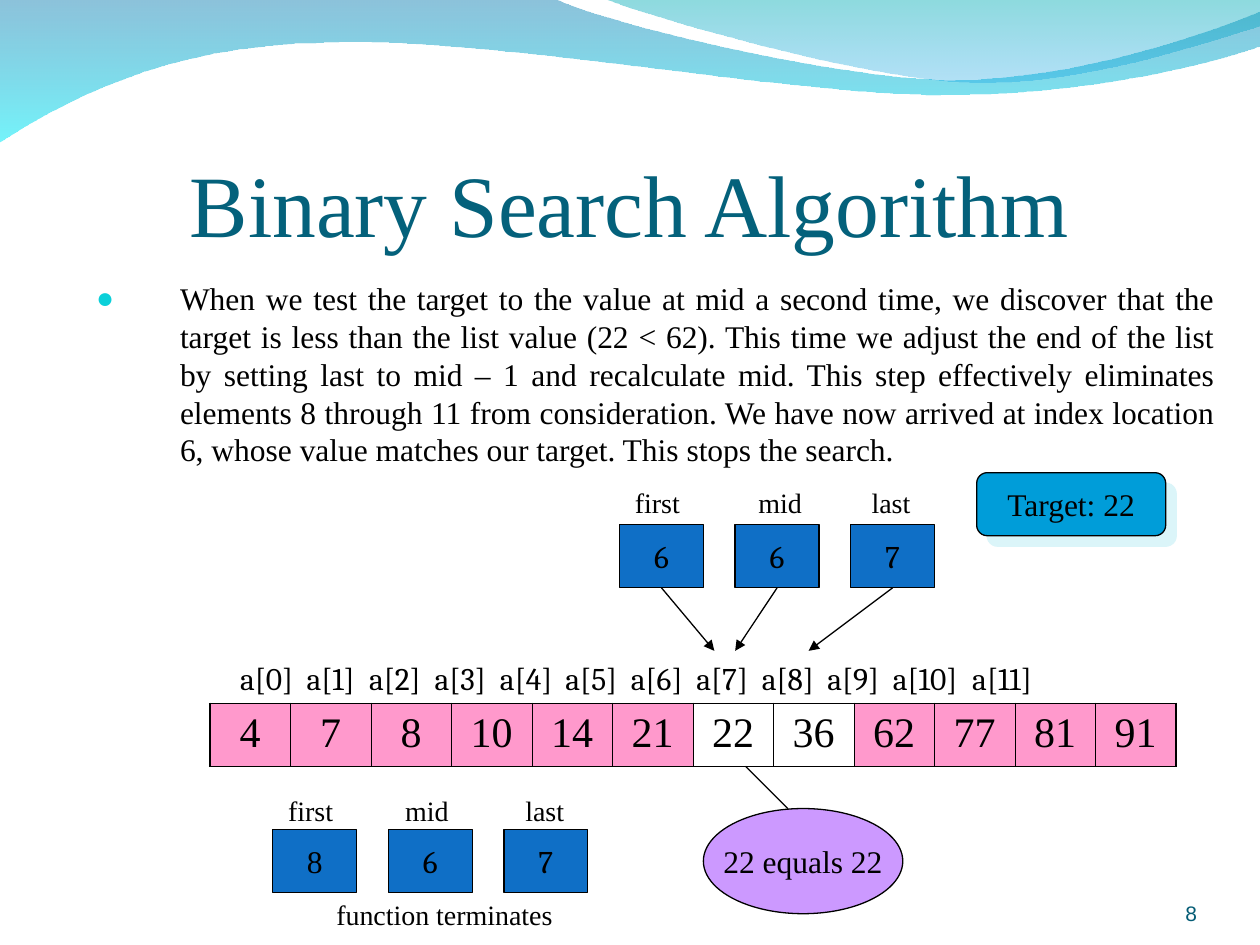
from lxml import etree
from pptx import Presentation
from pptx.dml.color import RGBColor
from pptx.enum.shapes import MSO_CONNECTOR, MSO_SHAPE
from pptx.enum.text import MSO_ANCHOR, MSO_AUTO_SIZE, PP_ALIGN
from pptx.oxml.ns import qn
from pptx.util import Cm, Pt

RECT, ROUND_RECT, ELLIPSE = MSO_SHAPE.RECTANGLE, MSO_SHAPE.ROUNDED_RECTANGLE, MSO_SHAPE.OVAL
STRAIGHT = MSO_CONNECTOR.STRAIGHT
TOP, MIDDLE, BOTTOM = MSO_ANCHOR.TOP, MSO_ANCHOR.MIDDLE, MSO_ANCHOR.BOTTOM
LEFT, CENTER, RIGHT, JUSTIFY = PP_ALIGN.LEFT, PP_ALIGN.CENTER, PP_ALIGN.RIGHT, PP_ALIGN.JUSTIFY
FIT_SHAPE, NO_FIT = MSO_AUTO_SIZE.SHAPE_TO_FIT_TEXT, MSO_AUTO_SIZE.NONE
BOTTOM_SITE = 2

COLORS = {
    "ink": "000000", "title": "04617B", "number": "045C75", "bullet": "0BD0D9",
    "box": "0F6FC6", "target": "009DD9", "shadow": "DBF5F9",
    "result": "CC99FF", "eliminated": "FF99CC",
    "wave_top": "0079AF", "wave_low": "00EBF8",
    "crest_top": "00ADB6", "crest_low": "009BE5",
}
SERIF, CAMBRIA, SANS = "Times New Roman", "Cambria", "Arial"


def rgb(name):
    return RGBColor.from_string(COLORS[name])


def add_xml(parent, tag, **attributes):
    return etree.SubElement(parent, qn(tag), {key: str(value) for key, value in attributes.items()})


def add_color(parent, name, alpha=100):
    color = add_xml(parent, "a:srgbClr", val=COLORS[name])
    if alpha < 100:
        add_xml(color, "a:alpha", val=alpha * 1000)


def put_text(frame, text, size=18, font=SERIF, color="ink", align=LEFT, anchor=TOP,
             wrap=False, margins=(0.25, 0.13, 0.25, 0.13), before=0):
    frame.word_wrap = wrap
    frame.vertical_anchor = anchor
    frame.margin_left, frame.margin_top, frame.margin_right, frame.margin_bottom = map(Cm, margins)
    paragraph = frame.paragraphs[0]
    paragraph.alignment = align
    paragraph.space_before = Pt(before)
    run = paragraph.add_run()
    run.text = text
    run.font.size = Pt(size)
    run.font.name = font
    run.font.color.rgb = rgb(color)
    return paragraph


class SlideBuilder:
    line_width = Pt(0.75)
    thin, thick = Pt(0.45), Pt(1.08)

    def __init__(self, slide):
        self.slide = slide
        self.shapes = slide.shapes

    def text(self, text, left, top, width, height, fit=False, **fmt):
        box = self.shapes.add_textbox(Cm(left), Cm(top), Cm(width), Cm(height))
        paragraph = put_text(box.text_frame, text, **fmt)
        box.text_frame.auto_size = FIT_SHAPE if fit else NO_FIT
        return paragraph

    def shape(self, kind, text, left, top, width, height, fill, **fmt):
        shape = self.shapes.add_shape(kind, Cm(left), Cm(top), Cm(width), Cm(height))
        shape.shadow.inherit = False
        shape.fill.solid()
        shape.fill.fore_color.rgb = rgb(fill)
        shape.line.color.rgb = rgb("ink")
        shape.line.width = self.line_width
        put_text(shape.text_frame, text, align=CENTER, anchor=MIDDLE, **fmt)
        return shape

    def drop_shadow(self, shape, color, distance):
        effects = shape._element.spPr.find(qn("a:effectLst"))
        shadow = add_xml(effects, "a:outerShdw", dist=Pt(distance), dir=45 * 60000,
                         algn="ctr", rotWithShape=0)
        add_color(shadow, color)

    def line(self, start, end, source=None, arrow=False):
        line = self.shapes.add_connector(STRAIGHT, *map(Cm, start + end))
        if source is not None:
            line.begin_connect(source, BOTTOM_SITE)
        line.line.color.rgb = rgb("ink")
        line.line.width = self.line_width
        if arrow:
            add_xml(line.line._get_or_add_ln(), "a:tailEnd", type="triangle")
        add_xml(line._element.spPr, "a:effectLst")

    def wave(self, start, segments, stops):
        """Each segment is a line (one point) or a cubic curve (three points)."""
        builder = self.shapes.build_freeform(Cm(start[0]), Cm(start[1]))
        builder.add_line_segments([(Cm(x), Cm(y)) for segment in segments for x, y in segment])
        wave = builder.convert_to_shape()
        wave.shadow.inherit = False
        wave.line.fill.background()

        # Turn each run of three points into one curve
        properties = wave._element.spPr
        outline = next(properties.iter(qn("a:moveTo"))).getparent()
        lines = iter(outline.findall(qn("a:lnTo")))
        for segment in segments:
            command = add_xml(outline, "a:cubicBezTo" if len(segment) == 3 else "a:lnTo")
            for _ in segment:
                point = next(lines)
                command.append(point[0])
                outline.remove(point)
        add_xml(outline, "a:close")

        wave.fill.gradient()
        gradient = properties.find(qn("a:gradFill"))
        for child in list(gradient):
            gradient.remove(child)
        stop_list = add_xml(gradient, "a:gsLst")
        for position, (color, alpha) in zip((0, 100000), stops):
            add_color(add_xml(stop_list, "a:gs", pos=position), color, alpha)
        add_xml(gradient, "a:lin", ang=90 * 60000, scaled=0)

    def array(self, values, active, left, top, width, height):
        table = self.shapes.add_table(1, len(values), Cm(left), Cm(top), Cm(width), Cm(height)).table
        table.first_row = table.horz_banding = False
        last = len(values) - 1
        for index, value in enumerate(values):
            cell = table.cell(0, index)
            put_text(cell.text_frame, str(value), size=24, align=CENTER, wrap=True, before=6)
            borders = {"a:lnL": self.thin if index else self.thick,
                       "a:lnR": self.thin if index < last else self.thick,
                       "a:lnT": self.thick, "a:lnB": self.thick}
            for side, border_width in borders.items():
                border = add_xml(cell._tc.get_or_add_tcPr(), side, w=border_width)
                add_color(add_xml(border, "a:solidFill"), "ink")
            if index in active:
                cell.fill.background()
            else:
                cell.fill.solid()
                cell.fill.fore_color.rgb = rgb("eliminated")

    def variables(self, values, left, top, label_top, label_lefts, fonts):
        boxes = []
        labels = zip(("first", "mid", "last"), (1.5, 1.45, 1.4), label_lefts)
        for index, (name, width, label_left) in enumerate(labels):
            boxes.append(self.shape(RECT, str(values[index]), left + index * 2.33, top, 1.69, 1.27,
                                    "box", font=fonts[index]))
            self.text(name, label_left, label_top, width, 0.94, fit=True, size=16)
        return boxes


def main():
    deck = Presentation()
    deck.slide_width, deck.slide_height = Cm(25.4), Cm(19.05)
    page = SlideBuilder(deck.slides.add_slide(deck.slide_layouts[6]))

    # Waves along the top edge
    page.wave((0, -0.03), [
        ((11.18, -0.03),),
        ((12.09, 0.43), (16.87, 1.6), (19.25, 1.6)),
        ((21.67, 1.6), (24.33, 0.66), (25.4, 0.23)),
        ((25.43, 0.91),),
        ((24.97, 1.12), (22.1, 1.93), (18.95, 1.91)),
        ((15.8, 1.91), (9.7, 0.71), (6.53, 0.86)),
        ((3.28, 0.89), (1.17, 2.11), (-0.03, 2.87)),
    ], (("wave_top", 45), ("wave_low", 55)))
    page.wave((12.17, -0.03), [
        ((12.93, 0.28), (17.32, 1.57), (19.53, 1.65)),
        ((21.74, 1.75), (24.41, 0.81), (25.4, 0.53)),
        ((25.4, 0),),
    ], (("crest_top", 45), ("crest_low", 30)))

    # Title, explanation and page number
    page.text("Binary Search Algorithm", 1.27, 1.96, 22.86, 3.18, size=50, color="title",
              align=CENTER, anchor=BOTTOM, wrap=True, margins=(0, 0.13, 0, 0))
    explanation = page.text(
        "When we test the target to the value at mid a second time, we discover that the target "
        "is less than the list value (22 < 62). This time we adjust the end of the list by setting "
        "last to mid – 1 and recalculate mid. This step effectively eliminates elements 8 through "
        "11 from consideration. We have now arrived at index location 6, whose value matches our "
        "target. This stops the search.",
        1.69, 5.5, 23.06, 11.43, align=JUSTIFY, wrap=True, before=4.5)
    bullet = explanation._p.get_or_add_pPr()
    bullet.set("marL", str(Cm(1.69)))
    bullet.set("indent", str(-Cm(1.69)))
    add_color(add_xml(bullet, "a:buClr"), "bullet")
    add_xml(bullet, "a:buSzPct", val=95000)
    add_xml(bullet, "a:buFont", typeface=SANS)
    add_xml(bullet, "a:buChar", char="●")
    page.text("8", 22.01, 17.65, 2.12, 1.02, size=12, font=SANS, color="number",
              align=RIGHT, anchor=BOTTOM, wrap=True, margins=(0, 0, 0, 0))

    # Array with its index labels on tab stops
    page.array((4, 7, 8, 10, 14, 21, 22, 36, 62, 77, 81, 91), (6, 7), 4.23, 14.18, 19.48, 1.27)
    indexes = page.text("\t".join(f"a[{i}]" for i in range(12)), 4.59, 13.16, 18.87, 1.02,
                        fit=True, font=CAMBRIA)
    tabs = add_xml(indexes._p.get_or_add_pPr(), "a:tabLst")
    for stop in [1.34] + [2.6 + 1.32 * i for i in range(9)] + [14.76]:
        add_xml(tabs, "a:tab", pos=Cm(stop), algn="l")

    # Variables during the search, with arrows to the array
    boxes = page.variables((6, 6, 7), 12.49, 10.58, 9.65, (12.55, 15.04, 17.32), (CAMBRIA,) * 3)
    for box, tip in zip(boxes, (14.4, 14.82, 16.3)):
        page.line((0, 0), (tip, 13.12), source=box, arrow=True)

    # Target and comparison result
    target = page.shape(ROUND_RECT, "Target: 22", 19.69, 9.53, 3.81, 1.27, "target")
    page.drop_shadow(target, "shadow", 8.5)
    page.shape(ELLIPSE, "22 equals 22", 14.18, 16.3, 4.02, 2.12, "result")
    page.line((15.03, 15.45), (15.88, 16.3))

    # Variables when the function ends
    page.variables((8, 6, 7), 5.5, 16.72, 15.87, (5.56, 7.92, 10.34), (SERIF, CAMBRIA, CAMBRIA))
    page.text("function terminates", 6.53, 17.96, 5, 0.94, fit=True, size=16)

    deck.save("out.pptx")


if __name__ == "__main__":
    main()
